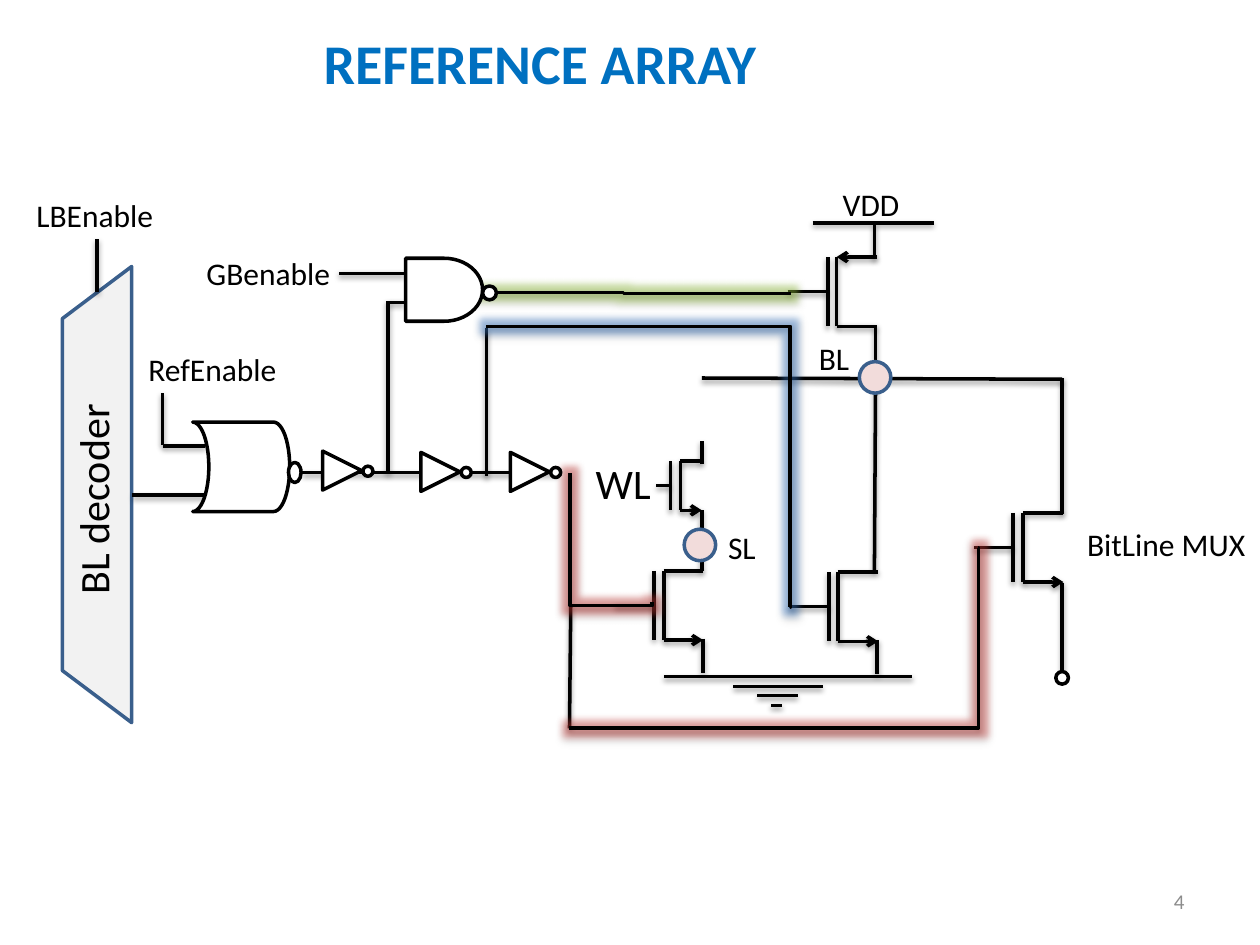
from lxml.etree import SubElement
from pptx import Presentation
from pptx.dml.color import RGBColor
from pptx.enum.shapes import MSO_CONNECTOR, MSO_SHAPE
from pptx.enum.text import MSO_ANCHOR, PP_ALIGN
from pptx.oxml.ns import qn
from pptx.util import Inches, Pt

BLACK, WHITE, NODE, OUTLINE = "000000", "FFFFFF", "F2DCDB", "3A5F8C"
RED, GREEN, BLUE = "D03A36", "9ACA3C", "3C7FD0"

# Labels: text, left, top, width, height, size
LABELS = [
    ("WL", 4.63, 3.58, 0.64, 0.5, 24),
    ("SL", 5.68, 4.14, 0.42, 0.4, 18),
    ("BL", 6.4, 2.64, 0.45, 0.4, 18),
    ("VDD", 6.59, 1.42, 0.66, 0.4, 18),
    ("LBEnable", 0.19, 1.51, 1.14, 0.4, 18),
    ("RefEnable", 1.08, 2.73, 1.23, 0.4, 18),
    ("GBenable", 1.54, 1.97, 1.2, 0.4, 18),
    ("BitLine MUX", 8.53, 4.12, 1.47, 0.4, 18),
]

# Transistors: gate plate x, top y, gate lead, height, gap, arm, arrow
TRANSISTORS = [
    (5.32, 3.66, 0.11, 0.39, 0.08, 0.17, "source"),
    (5.19, 4.53, 0.31, 0.55, 0.08, 0.31, "source"),
    (6.58, 4.54, 0.32, 0.55, 0.07, 0.32, "source"),
    (8.04, 4.07, 0.31, 0.55, 0.08, 0.32, "source"),
    (6.57, 2.04, 0.32, 0.55, 0.07, 0.32, "drain"),
]

# Straight wires: x1, y1, x2, y2
WIRES = [
    (2.4, 3.75, 4.42, 3.75),                              # inverter chain
    (5.57, 3.68, 5.57, 3.5), (5.57, 4.05, 5.57, 4.53),    # memory cell
    (5.58, 5.07, 5.58, 5.34), (6.96, 5.08, 6.96, 5.35),   # to ground
    (6.45, 1.77, 7.41, 1.77), (6.94, 1.78, 6.94, 2.05),   # supply
    (6.95, 2.59, 6.95, 2.86), (6.95, 2.87, 6.94, 4.53),   # bit line
    (5.57, 3, 8.43, 3.01), (8.43, 3, 8.43, 4.08),
    (8.43, 4.63, 8.43, 5.34),
    (4.52, 5.78, 4.53, 4.8), (3.86, 2.6, 3.86, 3.78),     # control signals
    (3.08, 3.76, 3.08, 2.39), (3.08, 2.4, 3.21, 2.4),
    (3.21, 2.17, 2.69, 2.17),
    (1.05, 3.93, 1.64, 3.93), (0.77, 2.32, 0.77, 1.9),    # decoder
    (1.63, 3.54, 1.29, 3.54), (1.29, 3.53, 1.29, 3.12),
]
GROUND_BARS = [(5.27, 7.24, 5.37), (5.82, 6.53, 5.45),
               (6.01, 6.33, 5.52), (6.12, 6.21, 5.6)]

# Glowing elbows: x1, y1, x2, y2, bend in 1/1000, rotation, glow
ELBOWS = [
    (3.62, 2.32, 6.28, 2.33, 500, 0, GREEN),
    (5.36, 3.94, 4.34, 4.59, 1031, 270, RED),
    (4.52, 5.78, 7.76, 4.35, 1002, 0, RED),
    (6.27, 4.82, 3.86, 2.59, -1, 0, BLUE),
]

INVERTERS = [(2.56, 3.58), (3.34, 3.59), (4.05, 3.59)]

deck = Presentation()
deck.slide_width, deck.slide_height = Inches(10), Inches(7.5)
page = deck.slides.add_slide(deck.slide_layouts[6])


def color(value):
    return RGBColor.from_string(value)


def add_effect(effects, tag, value, alpha, **settings):
    effect = SubElement(effects, qn(tag), {k: str(v) for k, v in settings.items()})
    tint = SubElement(effect, qn("a:srgbClr"), val=value)
    SubElement(tint, qn("a:alpha"), val=str(alpha * 1000))


def add_wire(x1, y1, x2, y2, arrow=False, glow=None, kind=MSO_CONNECTOR.STRAIGHT):
    wire = page.shapes.add_connector(kind, Inches(x1), Inches(y1), Inches(x2), Inches(y2))
    wire.line.color.rgb = color(BLACK)
    wire.line.width = Pt(2)
    properties = wire._element.spPr
    if arrow:
        SubElement(properties.find(qn("a:ln")), qn("a:tailEnd"), type="arrow")
    effects = SubElement(properties, qn("a:effectLst"))
    if glow:
        add_effect(effects, "a:glow", glow, 40, rad=Pt(8))
    add_effect(effects, "a:outerShdw", BLACK, 38, blurRad=Pt(3.1), dist=Pt(1.6),
               dir=90 * 60000, rotWithShape=0)
    return wire


def add_elbow(x1, y1, x2, y2, bend, rotation, glow):
    wire = add_wire(x1, y1, x2, y2, glow=glow, kind=MSO_CONNECTOR.ELBOW)
    properties = wire._element.spPr
    properties.find(qn("a:xfrm")).set("rot", str(rotation * 60000))
    guides = properties.find(qn("a:prstGeom")).find(qn("a:avLst"))
    SubElement(guides, qn("a:gd"), name="adj1", fmla=f"val {bend * 100}")


def add_transistor(x, y, lead, height, gap, arm, arrow):
    channel, bottom, end = x + gap, y + height, x + gap + arm
    add_wire(x - lead, y + height / 2, x, y + height / 2)
    for plate in (x, channel):
        add_wire(plate, y, plate, bottom)
    if arrow == "drain":
        add_wire(end, y, channel, y, arrow=True)
    else:
        add_wire(channel, y, end, y)
    add_wire(channel, bottom, end, bottom, arrow=arrow == "source")


def add_part(kind, left, top, width, height, fill=WHITE, line=BLACK, rotation=0, flip=False):
    part = page.shapes.add_shape(kind, Inches(left), Inches(top), Inches(width), Inches(height))
    part.shadow.inherit = False
    part.fill.solid()
    part.fill.fore_color.rgb = color(fill)
    part.line.color.rgb = color(line)
    part.line.width = Pt(2)
    part.rotation = rotation
    if flip:
        part._element.spPr.find(qn("a:xfrm")).set("flipH", "1")
    return part


def add_text(text, left, top, width, height, size, tint=BLACK, bold=False, wrap=False):
    box = page.shapes.add_textbox(Inches(left), Inches(top), Inches(width), Inches(height))
    box.text_frame.word_wrap = wrap
    para = box.text_frame.paragraphs[0]
    para.text = text
    para.font.name, para.font.size, para.font.bold = "Calibri", Pt(size), bold
    para.font.color.rgb = color(tint)
    return box


# Title and page number
add_text("REFERENCE ARRAY", 2.47, 0.18, 5.94, 0.64, 32, "0070C0", bold=True, wrap=True)
number = add_text("4", 7.17, 6.95, 2.33, 0.4, 12, "8C8C8C", wrap=True)
number.text_frame.vertical_anchor = MSO_ANCHOR.MIDDLE
number.text_frame.paragraphs[0].alignment = PP_ALIGN.RIGHT

# Decoder
decoder = add_part(MSO_SHAPE.TRAPEZOID, -1.04, 3.65, 3.62, 0.55, "F2F2F2", OUTLINE, 270)
decoder.adjustments[0] = 0.752
add_text("BL decoder", -0.68, 3.15, 2.83, 0.5, 24, wrap=True).rotation = 270

# Wiring and transistors
for wire in WIRES:
    add_wire(*wire)
for start, end, y in GROUND_BARS:
    add_wire(start, y, end, y)
for transistor in TRANSISTORS:
    add_transistor(*transistor)
for elbow in ELBOWS:
    add_elbow(*elbow)

# Logic gates
for x, y in INVERTERS:
    add_part(MSO_SHAPE.ISOSCELES_TRIANGLE, x, y, 0.31, 0.31, rotation=90)
    add_part(MSO_SHAPE.FLOWCHART_CONNECTOR, x + 0.32, y + 0.12, 0.08, 0.08)
add_part(MSO_SHAPE.FLOWCHART_STORED_DATA, 1.53, 3.35, 0.77, 0.71, flip=True)
add_part(MSO_SHAPE.FLOWCHART_CONNECTOR, 2.29, 3.67, 0.1, 0.16, flip=True)
add_part(MSO_SHAPE.FLOWCHART_DELAY, 3.22, 2.05, 0.61, 0.5)
add_part(MSO_SHAPE.FLOWCHART_CONNECTOR, 3.83, 2.27, 0.11, 0.11)

# Circuit nodes and output terminal
for x, y in [(5.43, 4.2), (6.82, 2.87)]:
    add_part(MSO_SHAPE.OVAL, x, y, 0.25, 0.25, NODE, OUTLINE)
add_part(MSO_SHAPE.OVAL, 8.38, 5.33, 0.1, 0.1)

for label in LABELS:
    add_text(*label)

deck.save("out.pptx")
